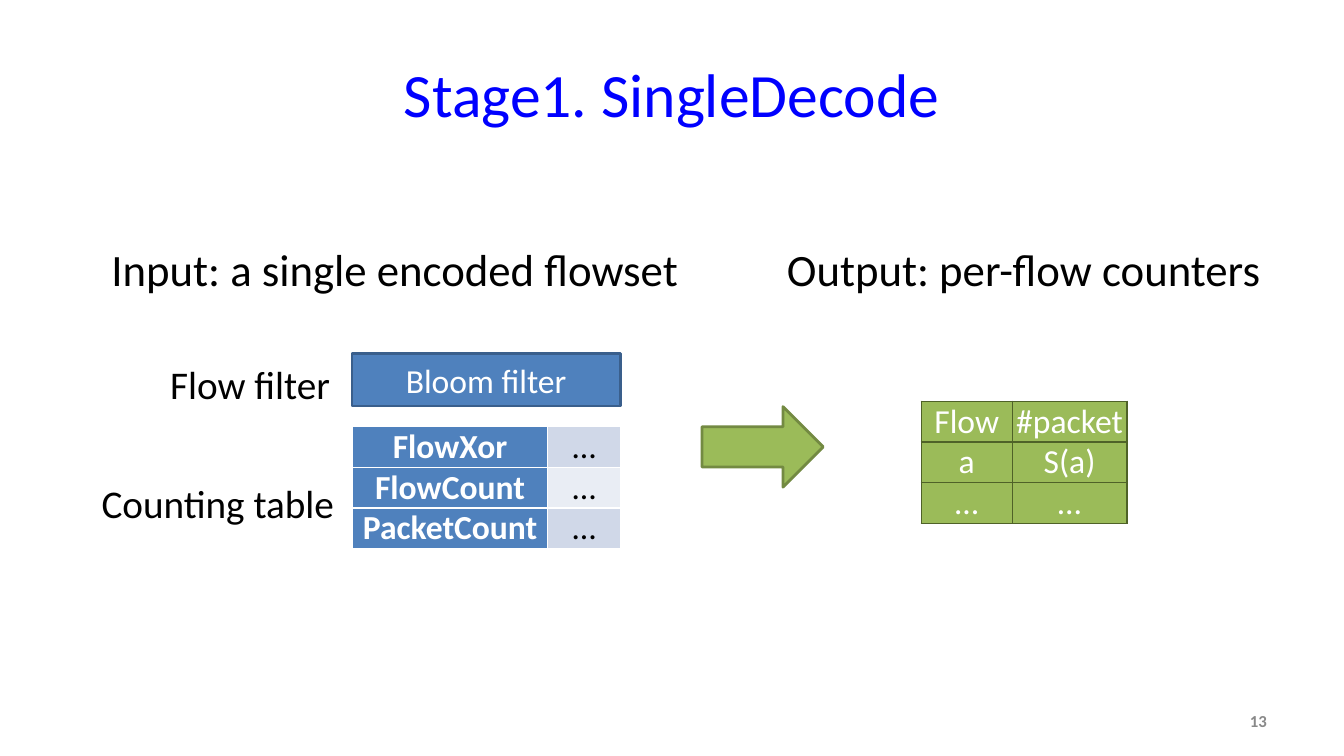
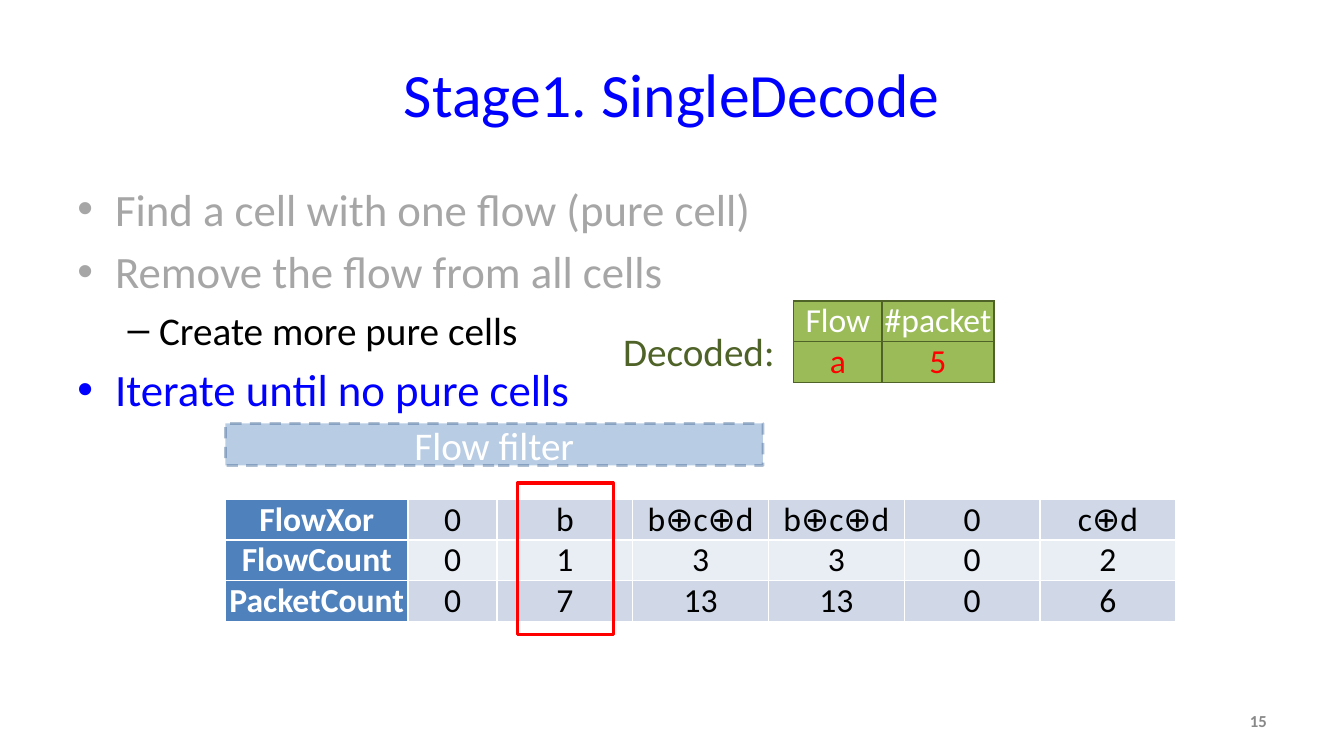
"""Build the two SingleDecode slides: input and output, then the iteration step."""
import lxml.etree
import pptx
import pptx.dml.color
import pptx.enum.dml
import pptx.enum.shapes
import pptx.enum.text
import pptx.oxml.ns
import pptx.util

Pt = pptx.util.Pt
RGB = pptx.dml.color.RGBColor.from_string
qn = pptx.oxml.ns.qn
SHAPE = pptx.enum.shapes.MSO_SHAPE
ALIGN = pptx.enum.text.PP_ALIGN
MIDDLE = pptx.enum.text.MSO_ANCHOR.MIDDLE
GROW = pptx.enum.text.MSO_AUTO_SIZE.SHAPE_TO_FIT_TEXT


class Theme:
    font = "Calibri"
    white, black, red = "FFFFFF", "000000", "FF0000"
    title, faded, number = "0000FF", "A6A6A6", "898989"
    blue, blue_edge = "4F81BD", "3A5F8C"
    bands = "D0D8E8", "E9EDF4"
    green, green_edge, green_dark = "9BBB59", "738A42", "4F6228"
    title_size, head_size, label_size, cell_size, number_size = 44, 32, 28, 24, 12


def write(p, text, size, color, align=None, bold=False):
    p.text, p.alignment = text, align
    for name, value in dict(name=Theme.font, size=Pt(size), bold=bold).items():
        setattr(p.font, name, value)
    p.font.color.rgb = RGB(color)


def add_grid(s, left, top, widths, rows, edge, look):
    row_height = 29.2
    frame = s.shapes.add_table(len(rows), len(widths), Pt(left), Pt(top),
                               Pt(sum(widths)), Pt(row_height * len(rows)))
    table = frame.table
    table.first_row = table.horz_banding = False
    for column, width in zip(table.columns, widths):
        column.width = Pt(width)
    for i, row in enumerate(rows):
        table.rows[i].height = Pt(row_height)
        for j, text in enumerate(row):
            cell = table.cell(i, j)
            tcPr = cell._tc.get_or_add_tcPr()
            for side in ("a:lnL", "a:lnR", "a:lnT", "a:lnB"):
                ln = lxml.etree.SubElement(tcPr, qn(side), w=str(Pt(1)))
                solid = lxml.etree.SubElement(ln, qn("a:solidFill"))
                lxml.etree.SubElement(solid, qn("a:srgbClr"), val=edge)
            fill, color, bold = look(i, j)
            cell.fill.solid()
            cell.fill.fore_color.rgb = RGB(fill)
            for name in ("margin_left", "margin_top", "margin_right", "margin_bottom"):
                setattr(cell, name, 0)
            cell.vertical_anchor = MIDDLE
            write(cell.text_frame.paragraphs[0], text, Theme.cell_size, color,
                  ALIGN.CENTER, bold)


prs = pptx.Presentation()
prs.slide_width, prs.slide_height = Pt(960), Pt(540)

slides = []
for layout, number in ((5, "13"), (1, "15")):
    s = prs.slides.add_slide(prs.slide_layouts[layout])
    title = s.shapes.title
    title.left, title.top, title.width, title.height = Pt(48), Pt(21.6), Pt(864), Pt(90)
    title.text_frame.vertical_anchor = MIDDLE
    write(title.text_frame.paragraphs[0], "Stage1. SingleDecode",
          Theme.title_size, Theme.title, ALIGN.CENTER)
    sp = s.shapes.add_textbox(Pt(688), Pt(500.5), Pt(224), Pt(28.8))
    sp.text_frame.word_wrap = True
    sp.text_frame.vertical_anchor = MIDDLE
    write(sp.text_frame.paragraphs[0], number, Theme.number_size, Theme.number,
          ALIGN.RIGHT, True)
    slides.append(s)
overview, iteration = slides

body = iteration.placeholders[1]
body.left, body.top, body.width, body.height = Pt(48), Pt(126), Pt(864), Pt(356.5)
steps = (
    ("Find a cell with one flow (pure cell)", 0, Theme.head_size, Theme.faded),
    ("Remove the flow from all cells", 0, Theme.head_size, Theme.faded),
    ("Create more pure cells", 1, Theme.label_size, Theme.black),
    ("Iterate until no pure cells", 0, Theme.head_size, Theme.title),
)
tf = body.text_frame
for i, (text, level, size, color) in enumerate(steps):
    p = tf.add_paragraph() if i else tf.paragraphs[0]
    p.level = level
    write(p, text, size, color)

counters = ("FlowXor", "FlowCount", "PacketCount")
cells = (
    ("0", "b", "b⊕c⊕d", "b⊕c⊕d", "0", "c⊕d"),
    ("0", "1", "3", "3", "0", "2"),
    ("0", "7", "13", "13", "0", "6"),
)
counting_tables = (
    (overview, 252, 304.5, (139, 52.5), [(name, "…") for name in counters]),
    (iteration, 161, 356.5, (130.5, 63.5) + (97,) * 5,
     [(name, *row) for name, row in zip(counters, cells)]),
)
for s, left, top, widths, rows in counting_tables:
    add_grid(s, left, top, widths, rows, Theme.white,
             lambda i, j: (Theme.bands[i % 2], Theme.black, False) if j
             else (Theme.blue, Theme.white, True))

flow_head = ("Flow", "#packet")
flow_tables = (
    (overview, 658, 286.5, (65, 82), (flow_head, ("a", "S(a)"), ("…", "…")), Theme.white),
    (iteration, 567, 215, (63, 80), (flow_head, ("a", "5")), Theme.red),
)
for s, left, top, widths, rows, value_color in flow_tables:
    add_grid(s, left, top, widths, rows, Theme.green_dark,
             lambda i, j: (Theme.green, value_color if i else Theme.white, False))

shapes = (
    (overview, SHAPE.RECTANGLE, (251.5, 252.5, 191.5, 37.5), Theme.blue,
     Theme.blue_edge, 2, "Bloom filter", Theme.cell_size, False),
    (overview, SHAPE.RIGHT_ARROW, (501.5, 290.5, 86.5, 57.5), Theme.green,
     Theme.green_edge, 2, None, None, False),
    (iteration, SHAPE.RECTANGLE, (161, 302.5, 384, 30), Theme.blue,
     Theme.blue_edge, 2, "Flow filter", Theme.label_size, True),
    (iteration, SHAPE.RECTANGLE, (369.5, 345, 68.5, 108), None,
     Theme.red, 2.25, None, None, False),
)
for s, kind, place, fill, edge, width, text, size, ghost in shapes:
    sp = s.shapes.add_shape(kind, *map(Pt, place))
    sp.shadow.inherit = False
    if fill:
        sp.fill.solid()
        sp.fill.fore_color.rgb = RGB(fill)
    else:
        sp.fill.background()
    sp.line.color.rgb = RGB(edge)
    sp.line.width = Pt(width)
    if ghost:
        sp.line.dash_style = pptx.enum.dml.MSO_LINE.DASH
        for color in sp._element.spPr.iter(qn("a:srgbClr")):
            lxml.etree.SubElement(color, qn("a:alpha"), val="40000")
    if text:
        sp.text_frame.vertical_anchor = MIDDLE
        write(sp.text_frame.paragraphs[0], text, size, Theme.white, ALIGN.CENTER)

labels = (
    (overview, "Input: a single encoded flowset", (72.5, 169, 424, 46),
     Theme.head_size, Theme.black),
    (overview, "Output: per-flow counters", (555, 169, 356.5, 46),
     Theme.head_size, Theme.black),
    (overview, "Flow filter", (114.5, 254, 129.5, 41), Theme.label_size, Theme.black),
    (overview, "Counting table", (65.5, 338.5, 182, 41), Theme.label_size, Theme.black),
    (iteration, "Decoded:", (438, 230.5, 124, 41), Theme.label_size, Theme.green_dark),
)
for s, text, place, size, color in labels:
    sp = s.shapes.add_textbox(*map(Pt, place))
    for name, value in dict(word_wrap=False, auto_size=GROW).items():
        setattr(sp.text_frame, name, value)
    write(sp.text_frame.paragraphs[0], text, size, color)

prs.save("out.pptx")
